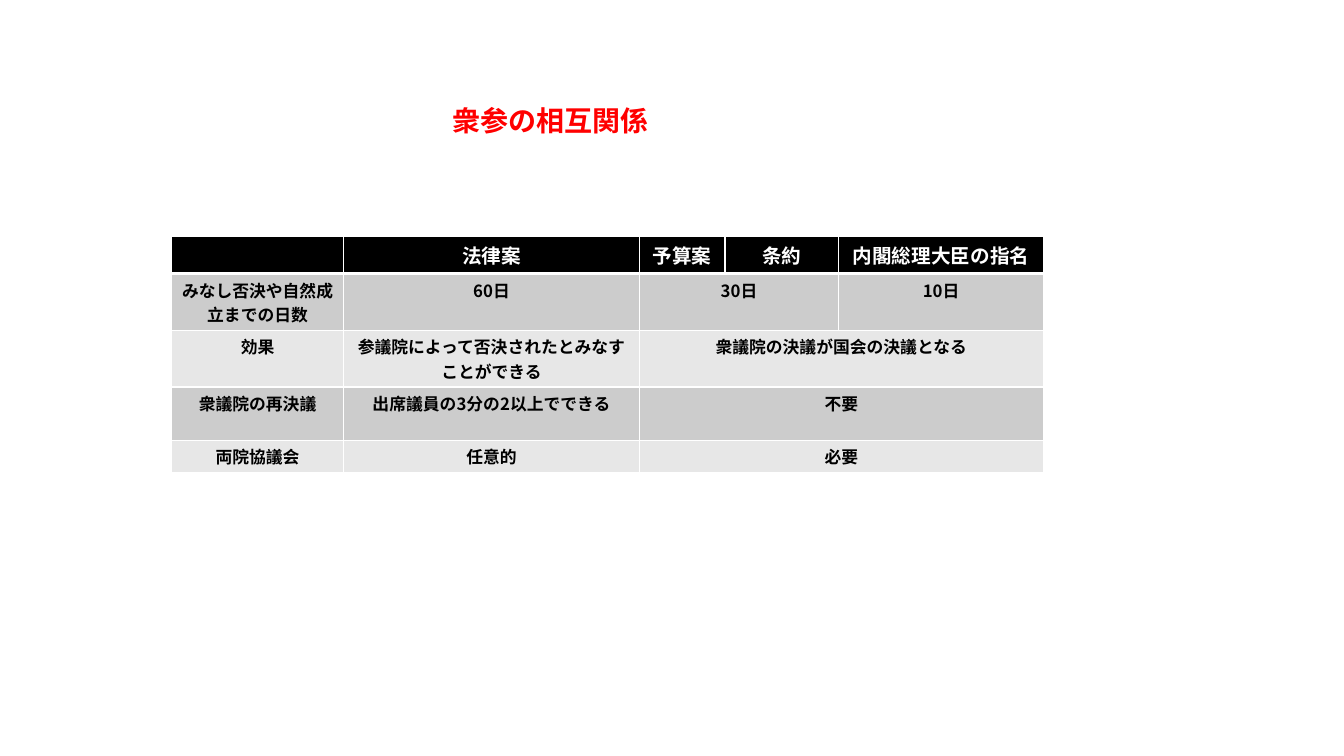
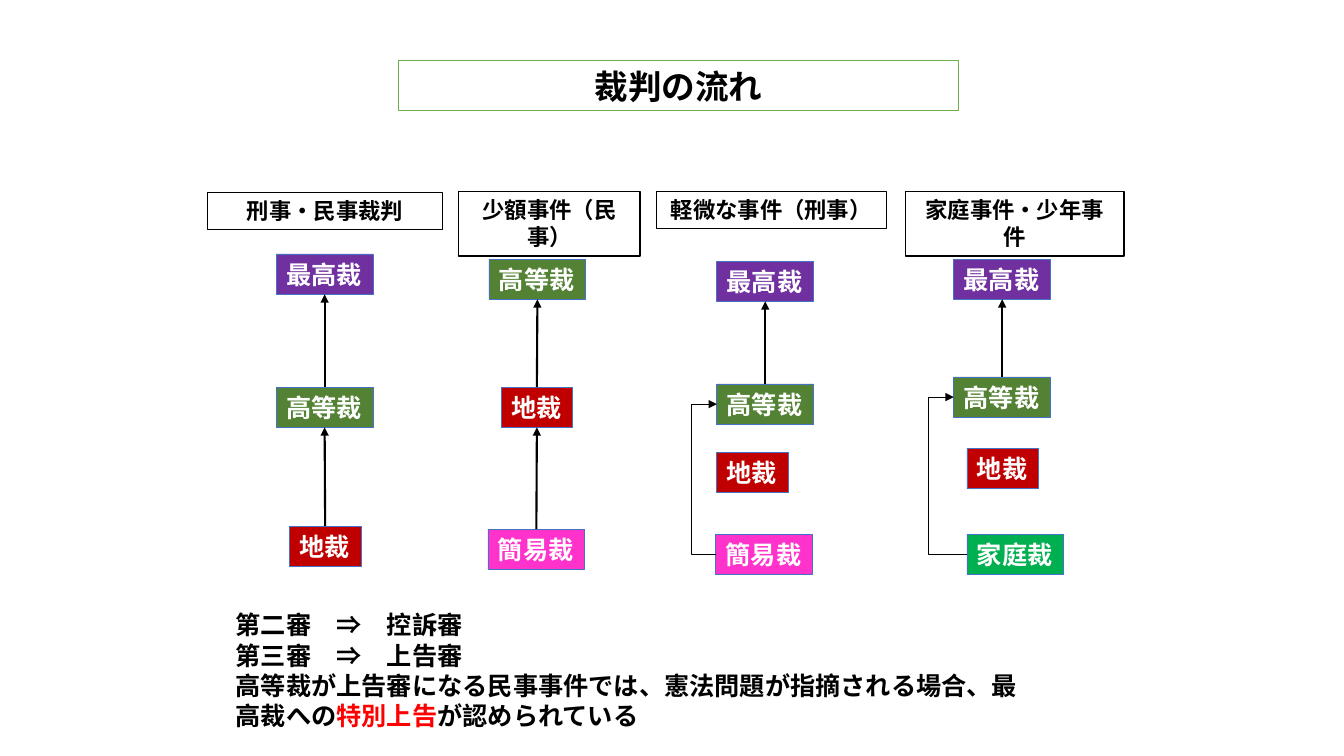
from lxml import etree
from pptx import Presentation
from pptx.dml.color import RGBColor
from pptx.enum.shapes import MSO_CONNECTOR, MSO_SHAPE
from pptx.enum.text import MSO_ANCHOR, MSO_AUTO_SIZE, PP_ALIGN
from pptx.oxml.ns import qn
from pptx.util import Inches, Pt

RECT = MSO_SHAPE.RECTANGLE
STRAIGHT, ELBOW = MSO_CONNECTOR.STRAIGHT, MSO_CONNECTOR.ELBOW
LEFT, CENTER = PP_ALIGN.LEFT, PP_ALIGN.CENTER
TOP, GROW = MSO_ANCHOR.TOP, MSO_AUTO_SIZE.SHAPE_TO_FIT_TEXT

BLACK = RGBColor(0x00, 0x00, 0x00)
WHITE = RGBColor(0xFF, 0xFF, 0xFF)
RED = RGBColor(0xFF, 0x00, 0x00)
BLUE = RGBColor(0x44, 0x72, 0xC4)
GREEN = RGBColor(0x70, 0xAD, 0x47)
DARK_BAND = RGBColor(0xCC, 0xCC, 0xCC)
LIGHT_BAND = RGBColor(0xE7, 0xE7, 0xE7)

COURT_FILLS = {
    "最高裁": RGBColor(0x70, 0x30, 0xA0),
    "高等裁": RGBColor(0x54, 0x82, 0x35),
    "地裁": RGBColor(0xC0, 0x00, 0x00),
    "簡易裁": RGBColor(0xFF, 0x33, 0xCC),
    "家庭裁": RGBColor(0x00, 0xB0, 0x50),
}

FONT = "Noto Sans CJK JP"
TOP_SITE, LEFT_SITE, BOTTOM_SITE = 0, 1, 2
COURT_H = 0.4

COL_WIDTHS = [1.71, 2.93, 0.85, 1.13, 2.03]
ROW_HEIGHTS = [0.3, 0.53, 0.53, 0.53, 0.3]
ROWS = [
    ["", "法律案", "予算案", "条約", "内閣総理大臣の指名"],
    ["みなし否決や自然成立までの日数", "60日", "30日", None, "10日"],
    ["効果", "参議院によって否決されたとみなすことができる",
     "衆議院の決議が国会の決議となる", None, None],
    ["衆議院の再決議", "出席議員の3分の2以上でできる", "不要", None, None],
    ["両院協議会", "任意的", "必要", None, None],
]

COLUMNS = [
    {"heading": ("刑事・民事裁判", 2.06, 1.91, 2.33, 0.37),
     "courts": [("地裁", 2.87, 5.22), ("高等裁", 2.74, 3.84), ("最高裁", 2.74, 2.52)],
     "appeals": [(0, 1), (1, 2)]},
    {"heading": ("少額事件（民事）", 4.55, 1.9, 1.8, 0.64),
     "courts": [("簡易裁", 4.84, 5.25), ("地裁", 4.97, 3.84), ("高等裁", 4.85, 2.57)],
     "appeals": [(0, 1), (1, 2)]},
    {"heading": ("軽微な事件（刑事）", 6.51, 1.9, 2.28, 0.37),
     "courts": [("簡易裁", 7.1, 5.3), ("地裁", 7.11, 4.49),
                ("高等裁", 7.11, 3.81), ("最高裁", 7.11, 2.59)],
     "appeals": [(2, 3)], "detour": (0, 2, 6.85, 0.75)},
    {"heading": ("家庭事件・少年事件", 8.98, 1.9, 2.17, 0.64),
     "courts": [("家庭裁", 9.59, 5.3), ("地裁", 9.59, 4.45),
                ("高等裁", 9.46, 3.74), ("最高裁", 9.46, 2.57)],
     "appeals": [(2, 3)], "detour": (0, 2, 9.21, 0.5)},
]

NOTES = [
    [("第二審　⇒　控訴審", BLACK)],
    [("第三審　⇒　上告審", BLACK)],
    [("高等裁が上告審になる民事事件では、憲法問題が指摘される場合、最高裁への", BLACK),
     ("特別上告", RED), ("が認められている", BLACK)],
]


class Deck:
    """Holds the shared style and the slide being built."""

    def __init__(self):
        self.prs = Presentation()
        self.prs.slide_width = Inches(13.33)
        self.prs.slide_height = Inches(7.5)
        self.s = None

    def slide(self):
        self.s = self.prs.slides.add_slide(self.prs.slide_layouts[6])

    def fill_text(self, tf, paragraphs, size, align=CENTER, font=FONT):
        style = {"name": font, "size": Pt(size), "bold": True}
        for i, runs in enumerate(paragraphs):
            p = tf.add_paragraph() if i else tf.paragraphs[0]
            p.alignment = align
            for text, color in runs:
                r = p.add_run()
                r.text = text
                for name, value in style.items():
                    setattr(r.font, name, value)
                r.font.color.rgb = color
                ea = etree.SubElement(r.font._element, qn("a:ea"))
                ea.set("typeface", FONT)

    def frame(self, sp, paragraphs, size, align=CENTER, wrap=True, font=FONT):
        tf = sp.text_frame
        layout = {"word_wrap": wrap, "auto_size": GROW, "vertical_anchor": TOP}
        for name, value in layout.items():
            setattr(tf, name, value)
        self.fill_text(tf, paragraphs, size, align, font)

    def text(self, at, paragraphs, size, align=CENTER):
        sp = self.s.shapes.add_textbox(*map(Inches, at))
        self.frame(sp, paragraphs, size, align)

    def box(self, at, text, size, color=BLACK, fill=WHITE, line=BLACK,
            width=1, **layout):
        sp = self.s.shapes.add_shape(RECT, *map(Inches, at))
        sp.shadow.inherit = False
        sp.fill.solid()
        sp.fill.fore_color.rgb = fill
        sp.line.color.rgb = line
        sp.line.width = Pt(width)
        self.frame(sp, [[(text, color)]], size, **layout)
        return sp

    def court(self, name, x, y):
        at = (x, y, 0.21 + 0.25 * len(name), COURT_H)
        return self.box(at, name, 18, WHITE, COURT_FILLS[name], BLUE, 0.5,
                        align=LEFT, wrap=False)

    def arrow(self, kind, start, start_site, end, end_site, width):
        c = self.s.shapes.add_connector(kind, 0, 0, 0, 0)
        c.begin_connect(start, start_site)
        c.end_connect(end, end_site)
        c.line.color.rgb = BLACK
        c.line.width = Pt(width)
        props = c._element.spPr
        etree.SubElement(props.find(qn("a:ln")), qn("a:tailEnd")).set("type", "triangle")
        etree.SubElement(props, qn("a:effectLst"))
        return c

    def appeal(self, start, end):
        self.arrow(STRAIGHT, start, TOP_SITE, end, BOTTOM_SITE, 1.5)

    def detour(self, start, end, turn, width):
        c = self.arrow(ELBOW, start, LEFT_SITE, end, LEFT_SITE, width)
        ratio = (Inches(turn) - c.begin_x) / (c.end_x - c.begin_x)
        guides = c._element.spPr.find(qn("a:prstGeom")).find(qn("a:avLst"))
        gd = etree.SubElement(guides, qn("a:gd"))
        gd.set("name", "adj1")
        gd.set("fmla", f"val {round(ratio * 100000)}")

    def borders(self, cell, widths):
        tc_pr = cell._tc.get_or_add_tcPr()
        for side, width in zip("LRTB", widths):
            ln = etree.SubElement(tc_pr, qn(f"a:ln{side}"))
            ln.set("w", str(Pt(width)))
            fill = etree.SubElement(ln, qn("a:solidFill"))
            etree.SubElement(fill, qn("a:srgbClr")).set("val", str(WHITE))

    def cell(self, cell, text, row):
        margins = {"margin_left": 0.07, "margin_right": 0.07,
                   "margin_top": 0.04, "margin_bottom": 0.04}
        for name, value in margins.items():
            setattr(cell, name, Inches(value))
        self.borders(cell, (1, 1, 3 if row == 1 else 1, 3 if row == 0 else 1))
        cell.fill.solid()
        band = DARK_BAND if row % 2 else LIGHT_BAND
        cell.fill.fore_color.rgb = band if row else BLACK
        if text is not None:
            color, size = (BLACK, 12) if row else (WHITE, 14)
            self.fill_text(cell.text_frame, [[(text, color)]], size)

    def table(self, x, y, rows, widths, heights):
        at = (x, y, sum(widths), sum(heights))
        table = self.s.shapes.add_table(len(rows), len(widths), *map(Inches, at)).table
        for col, width in zip(table.columns, widths):
            col.width = Inches(width)
        for i, (texts, height) in enumerate(zip(rows, heights)):
            table.rows[i].height = Inches(height)
            for j, text in enumerate(texts):
                self.cell(table.cell(i, j), text, i)
            if None in texts:
                first = texts.index(None) - 1
                last = first + texts.count(None)
                table.cell(i, first).merge(table.cell(i, last))


def main():
    deck = Deck()

    deck.slide()
    deck.table(1.7, 2.35, ROWS, COL_WIDTHS, ROW_HEIGHTS)
    deck.text((2.13, 0.98, 6.66, 0.44), [[("衆参の相互関係", RED)]], 20)

    deck.slide()
    deck.box((3.95, 0.6, 5.56, 0.5), "裁判の流れ", 24, line=GREEN, font="Arial")
    for column in COLUMNS:
        heading, *at = column["heading"]
        deck.box(at, heading, 16)
        courts = [deck.court(*court) for court in column["courts"]]
        for lower, upper in column["appeals"]:
            deck.appeal(courts[lower], courts[upper])
        if "detour" in column:
            lower, upper, turn, width = column["detour"]
            deck.detour(courts[lower], courts[upper], turn, width)
    deck.text((2.24, 6, 8.17, 1.32), NOTES, 18, LEFT)

    deck.prs.save("out.pptx")


if __name__ == "__main__":
    main()
